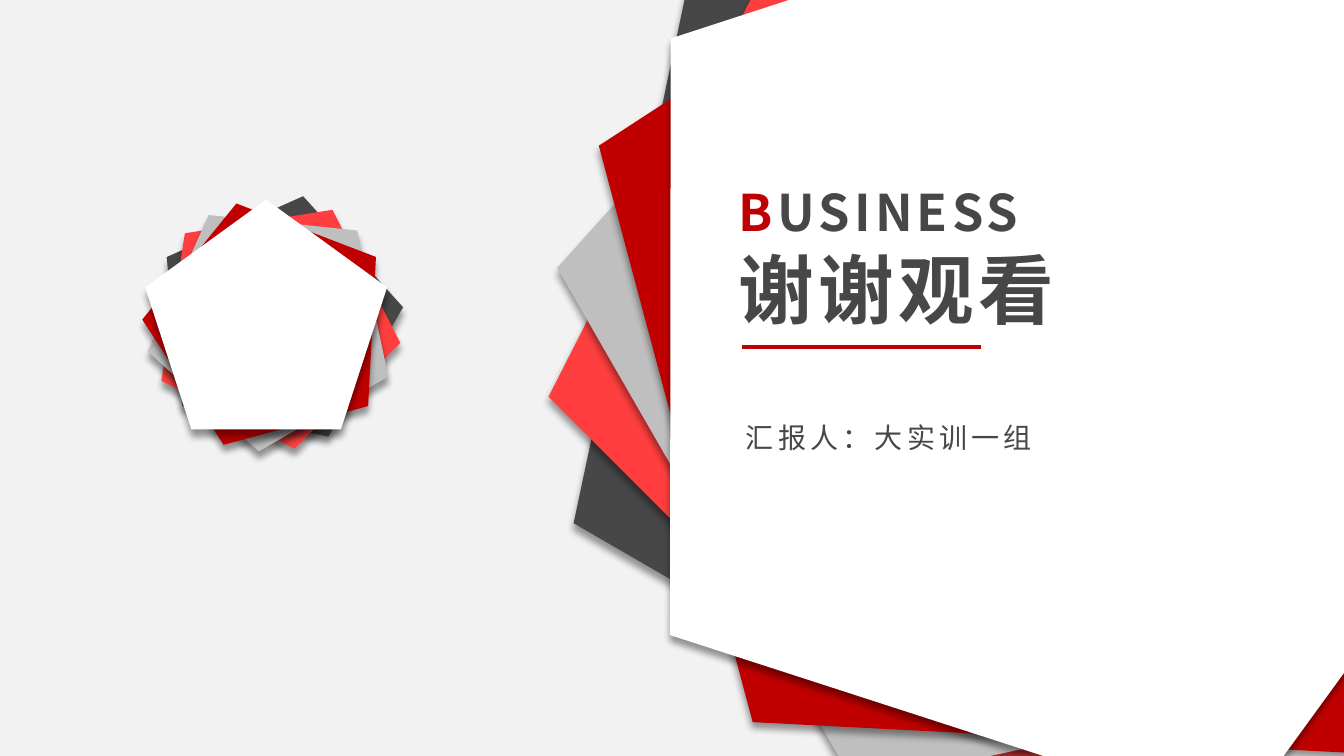
from lxml.etree import SubElement
from pptx import Presentation
from pptx.dml.color import RGBColor
from pptx.enum.shapes import MSO_CONNECTOR, MSO_SHAPE
from pptx.enum.text import PP_ALIGN
from pptx.oxml.ns import qn
from pptx.util import Inches, Pt

BACKGROUND = RGBColor(0xF2, 0xF2, 0xF2)
DARK = RGBColor(0x47, 0x47, 0x47)
CORAL = RGBColor(0xFF, 0x3F, 0x3F)
GREY = RGBColor(0xBF, 0xBF, 0xBF)
RED = RGBColor(0xC0, 0x00, 0x00)
WHITE = RGBColor(0xFF, 0xFF, 0xFF)

FONT = "Noto Sans CJK SC"
LAYERS = [DARK, CORAL, GREY, RED, WHITE]
LAYER_TURN = 15


def add_soft_shadow(sp):
    """Give a shape a 40% black shadow, 5 pt straight down."""
    sp.shadow.inherit = False
    effects = sp._element.spPr.find(qn("a:effectLst"))
    shadow = SubElement(effects, qn("a:outerShdw"), blurRad=str(Pt(5)),
                        dist=str(Pt(5)), dir="5400000", algn="t", rotWithShape="0")
    color = SubElement(shadow, qn("a:srgbClr"), val="000000")
    SubElement(color, qn("a:alpha"), val="40000")


def add_pentagon_fan(s, left, top, width, height, first_turn):
    """Stack pentagons, each turned a little further than the one below."""
    group = s.shapes.add_group_shape()
    for i, color in enumerate(LAYERS):
        sp = group.shapes.add_shape(MSO_SHAPE.REGULAR_PENTAGON, Inches(left), Inches(top),
                                    Inches(width), Inches(height))
        sp.rotation = (first_turn + i * LAYER_TURN) % 360
        sp.fill.solid()
        sp.fill.fore_color.rgb = color
        sp.line.fill.background()
        add_soft_shadow(sp)


def add_text(s, left, top, width, height, runs, size, bold=False, align=None):
    """Add one line of letter-spaced text; runs are (text, colour) pairs."""
    box = s.shapes.add_textbox(Inches(left), Inches(top), Inches(width), Inches(height))
    tf = box.text_frame
    tf.word_wrap = True
    p = tf.paragraphs[0]
    p.line_spacing = 0.9
    p.alignment = align
    for text, color in runs:
        r = p.add_run()
        r.text = text
        for name, value in {"name": FONT, "size": Pt(size), "bold": bold}.items():
            setattr(r.font, name, value)
        r.font.color.rgb = color
        rPr = r._r.get_or_add_rPr()
        rPr.set("spc", "300")
        SubElement(rPr, qn("a:ea"), typeface=FONT)


def add_rule(s, left, right, y):
    line = s.shapes.add_connector(MSO_CONNECTOR.STRAIGHT, Inches(left), Inches(y),
                                  Inches(right), Inches(y))
    line.line.color.rgb = RED
    line.line.width = Pt(3)
    SubElement(line._element.spPr, qn("a:effectLst"))


def main():
    prs = Presentation()
    prs.slide_width, prs.slide_height = Inches(13.33), Inches(7.5)
    s = prs.slides.add_slide(prs.slide_layouts[6])
    s.background.fill.solid()
    s.background.fill.fore_color.rgb = BACKGROUND

    add_pentagon_fan(s, 1.44, 1.98, 2.4, 2.28, first_turn=300)
    add_pentagon_fan(s, 5.55, -0.94, 9.57, 9.12, first_turn=174)

    add_text(s, 7.23, 2.46, 4.67, 1.08, [("谢谢观看", DARK)], 54, True, PP_ALIGN.JUSTIFY)
    add_text(s, 7.3, 4.16, 3.59, 0.54, [("汇报人：大实训一组", DARK)], 20)
    add_text(s, 7.23, 1.82, 3.61, 0.64, [("B", RED), ("USINESS", DARK)], 36, True,
             PP_ALIGN.JUSTIFY)
    add_rule(s, 7.36, 9.73, 3.44)

    prs.save("out.pptx")


if __name__ == "__main__":
    main()
